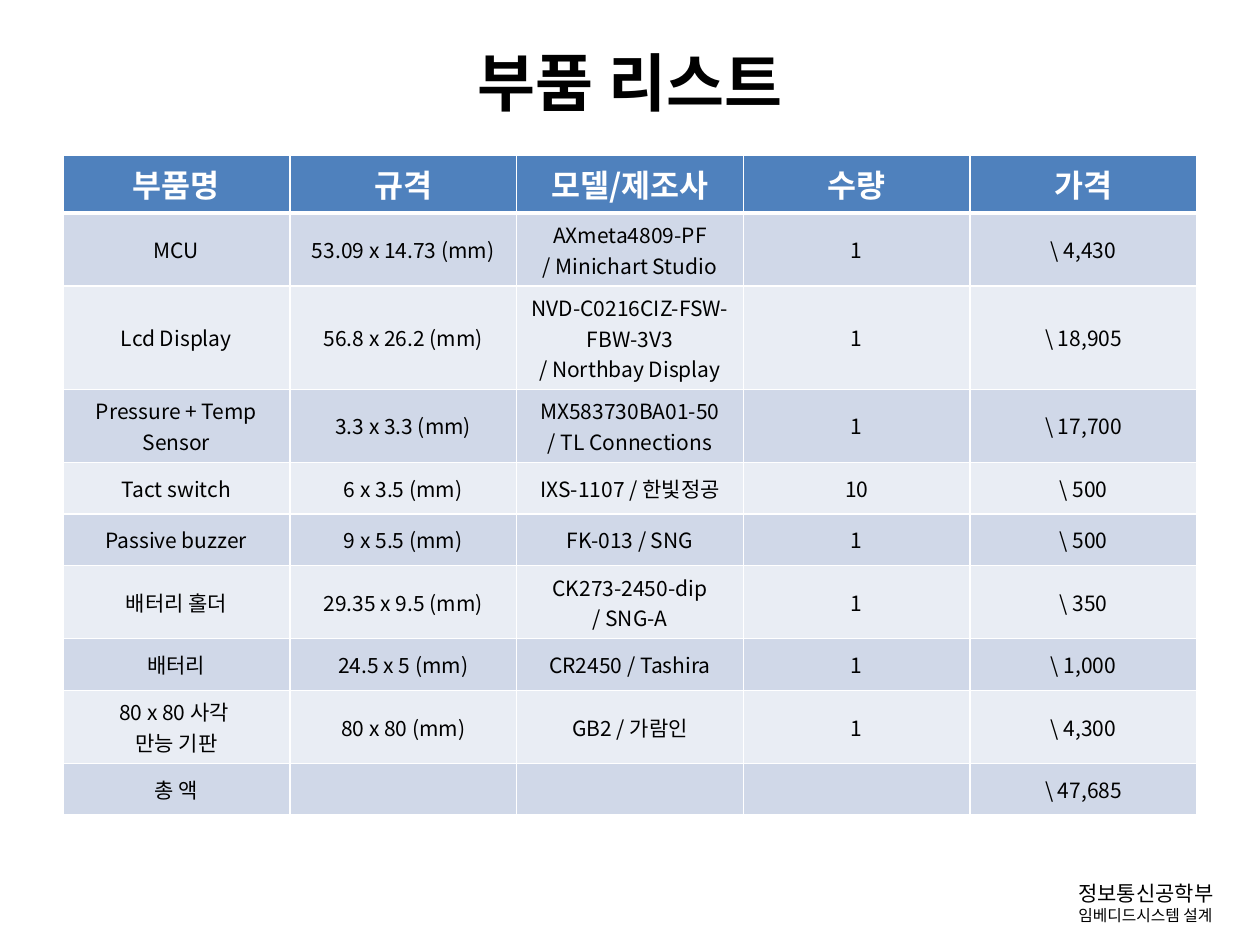
from lxml.etree import SubElement
from pptx import Presentation
from pptx.dml.color import RGBColor
from pptx.enum.text import MSO_ANCHOR as Anchor, PP_ALIGN as Align
from pptx.oxml.ns import qn
from pptx.util import Inches, Pt

TITLE = "부품 리스트"
HEADINGS = ["부품명", "규격", "모델/제조사", "수량", "가격"]
PARTS = [
    ("MCU", "53.09 x 14.73 (mm)", "AXmeta4809-PF\n/ Minichart Studio", "1", "\\ 4,430"),
    ("Lcd Display", "56.8 x 26.2 (mm)", "NVD-C0216CIZ-FSW-FBW-3V3\n/ Northbay Display", "1", "\\ 18,905"),
    ("Pressure + Temp Sensor", "3.3 x 3.3 (mm)", "MX583730BA01-50\n/ TL Connections", "1", "\\ 17,700"),
    ("Tact switch", "6 x 3.5 (mm)", "IXS-1107 / 한빛정공", "10", "\\ 500"),
    ("Passive buzzer", "9 x 5.5 (mm)", "FK-013 / SNG", "1", "\\ 500"),
    ("배터리 홀더", "29.35 x 9.5 (mm)", "CK273-2450-dip\n/ SNG-A", "1", "\\ 350"),
    ("배터리", "24.5 x 5 (mm)", "CR2450 / Tashira", "1", "\\ 1,000"),
    ("80 x 80 사각 \n만능 기판", "80 x 80 (mm)", "GB2 / 가람인", "1", "\\ 4,300"),
    ("총 액", "", "", "", "\\ 47,685"),
]
LINES_PER_PART = [2, 3, 2, 1, 1, 2, 1, 2, 1]
FOOTER = [("정보통신공학부", 12), ("임베디드시스템 설계", 9)]

FONT = "Noto Sans CJK KR"
COLORS = {"text": "000000", "white": "FFFFFF", "header": "4F81BD", "odd": "D0D8E8", "even": "E9EDF4"}
WIDTH, HEIGHT = Inches(10), Inches(7.5)
MARGIN = int(WIDTH * 0.05)
CONTENT_WIDTH = WIDTH - 2 * MARGIN
HEADER_HEIGHT = 0.46
HEIGHT_BY_LINES = {1: 0.41, 2: 0.58, 3: 0.82}


def style(paragraph, size, color="text", bold=False, align=Align.CENTER):
    paragraph.alignment = align
    font = paragraph.font
    font.name, font.size, font.bold = FONT, Pt(size), bold
    font.color.rgb = RGBColor.from_string(COLORS[color])
    SubElement(font._element, qn("a:ea"), typeface=FONT)


def add_borders(cell, bottom):
    properties = cell._tc.get_or_add_tcPr()
    for side, width in (("L", 1), ("R", 1), ("T", 1), ("B", bottom)):
        line = SubElement(properties, qn(f"a:ln{side}"), w=str(Pt(width)))
        fill = SubElement(line, qn("a:solidFill"))
        SubElement(fill, qn("a:srgbClr"), val=COLORS["white"])


def fill_cell(cell, text, fill, size, color, bold, bottom):
    add_borders(cell, bottom)
    cell.fill.solid()
    cell.fill.fore_color.rgb = RGBColor.from_string(COLORS[fill])
    cell.vertical_anchor = Anchor.MIDDLE
    cell.text = text
    for paragraph in cell.text_frame.paragraphs:
        style(paragraph, size, color, bold)
        if not text:
            SubElement(paragraph._p, qn("a:endParaRPr"), sz=str(size * 100))


def add_parts_table(slide):
    rows = [HEADINGS, *PARTS]
    heights = [HEADER_HEIGHT, *(HEIGHT_BY_LINES[lines] for lines in LINES_PER_PART)]
    table = slide.shapes.add_table(
        len(rows), len(HEADINGS), MARGIN, Inches(1.23), CONTENT_WIDTH, Inches(sum(heights))
    ).table
    for r, (values, height) in enumerate(zip(rows, heights)):
        table.rows[r].height = Inches(height)
        if r == 0:
            look = ("header", 18, "white", True, 3)
        else:
            look = ("odd" if r % 2 else "even", 12, "text", False, 1)
        for c, value in enumerate(values):
            fill_cell(table.cell(r, c), value, *look)


def add_footer(slide):
    frame = slide.shapes.add_textbox(Inches(8.46), Inches(6.94), Inches(1.54), Inches(0.45)).text_frame
    frame.word_wrap = True
    frame.text = "\n".join(text for text, _ in FOOTER)
    for paragraph, (_, size) in zip(frame.paragraphs, FOOTER):
        style(paragraph, size, align=Align.LEFT)


def main():
    deck = Presentation()
    deck.slide_width, deck.slide_height = WIDTH, HEIGHT
    slide = deck.slides.add_slide(deck.slide_layouts[5])
    add_footer(slide)
    title = slide.shapes.title
    title.left, title.top, title.width, title.height = MARGIN, Inches(0.3), CONTENT_WIDTH, Inches(0.69)
    title.text_frame.text = TITLE
    title.text_frame.vertical_anchor = Anchor.MIDDLE
    style(title.text_frame.paragraphs[0], 36, bold=True)
    add_parts_table(slide)
    deck.save("out.pptx")


if __name__ == "__main__":
    main()
